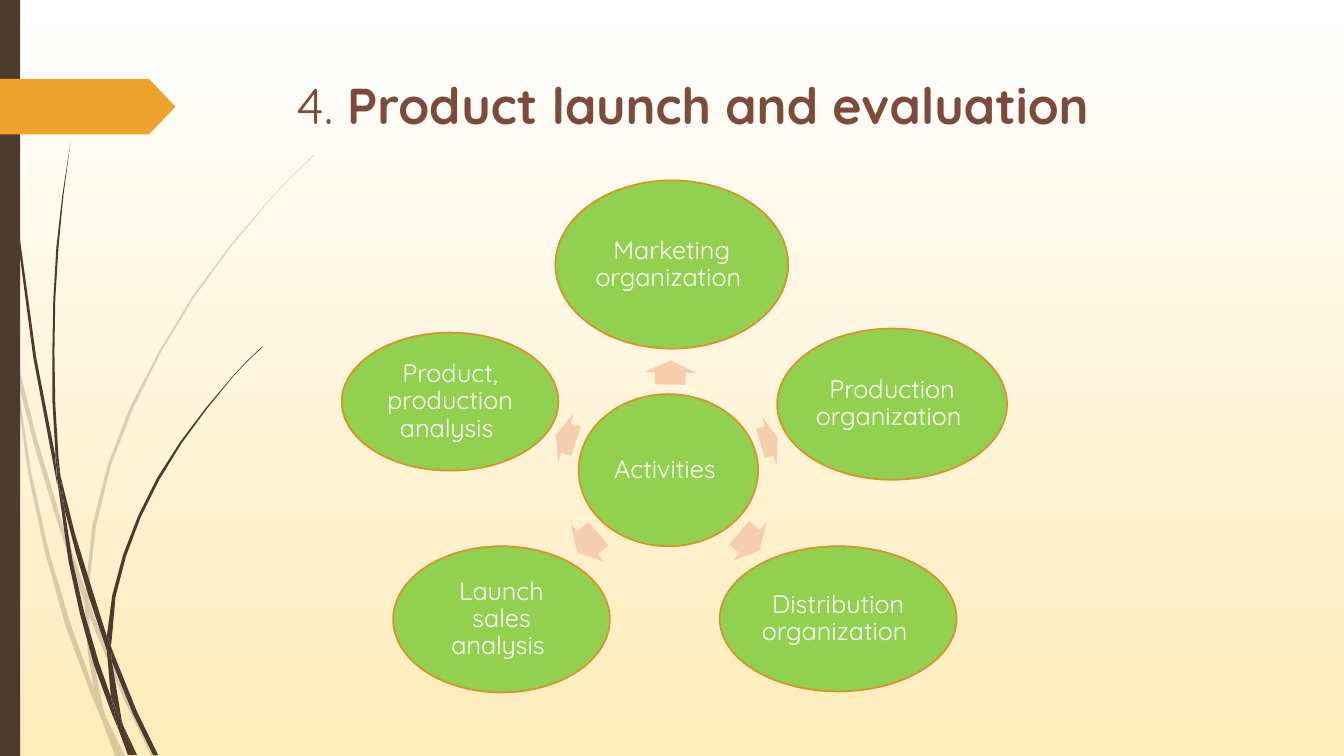
from dataclasses import dataclass

from lxml.etree import SubElement
from pptx import Presentation
from pptx.dml.color import RGBColor
from pptx.enum.shapes import MSO_SHAPE
from pptx.enum.text import MSO_ANCHOR, PP_ALIGN
from pptx.oxml.ns import qn
from pptx.util import Pt


@dataclass(frozen=True)
class Theme:
    font: str = "Quicksand"
    title_size: int = 36
    label_size: int = 18
    bg_top: str = "FFFFFF"
    bg_bottom: str = "FEECBA"
    dark: str = "4E3B30"
    accent: str = "F0A22E"
    title: str = "7C4B3B"
    bubble: str = "92D050"
    outline: str = "DA932A"
    arrow: str = "F6CEAD"
    label: str = "FFFFFF"


THEME = Theme()

PALE_BLADES = [
    [(7.9, 252), (6.5, 231.8), (0, 203), (0, 215.3), (7.2, 247.7)],
    [(41.8, 375.8), (60.5, 431.3), (61.2, 421.9), (44.6, 374.4), (26, 312),
     (10.1, 248.4), (12.2, 270.7), (25.9, 323.3)],
    [(66.2, 437), (63.4, 429.1), (63.4, 439.2), (88.6, 499.7), (108, 540),
     (111.6, 540), (91.4, 498.2)],
    [(85.7, 540), (89.3, 540), (75.6, 511.9)],
    [(67, 491.8), (50.4, 445.7), (34.5, 392.2), (22.3, 337.7), (12.2, 270.7),
     (7.9, 252), (20.2, 338.4), (31.8, 393.1), (46.8, 447.1), (66.2, 499),
     (72.7, 514.1), (71.3, 509)],
    [(60.5, 431.3), (62.6, 465.1), (67, 491.8), (69.1, 498.2), (75.6, 511.9),
     (74.2, 508.3), (65.5, 465.1), (63.4, 439.2), (63.4, 437.8)],
    [(63.4, 420.5), (68.6, 375.8), (79.2, 332.6), (95.3, 291.2), (115.2, 251.3),
     (138.4, 212.8), (164.9, 176.4), (193, 142.6), (208.8, 126), (224.6, 110.9),
     (224.6, 110.2), (208.1, 126), (193, 141.8), (164.2, 175.7), (137.3, 212),
     (113.8, 250.6), (93.2, 290.2), (77, 331.9), (65.9, 375.8), (61.2, 420.5),
     (61.2, 421.9), (63.4, 429.1)],
    [(72.7, 514.1), (82.1, 540), (85.7, 540)],
    [(63.4, 437.8), (63.4, 439.2), (63.4, 429.1), (61.2, 421.9), (60.5, 431.3)],
    [(69.1, 498.2), (67, 491.8), (71.3, 509), (72.7, 514.1), (85.7, 540),
     (75.6, 511.9)],
]
DARK_BLADES = [
    [(5, 79.2), (12.2, 167.8), (23.8, 255.6), (40.3, 343.4), (41, 346.3),
     (39.6, 329), (39.6, 326.2), (25.9, 255.6), (13.7, 167), (5.8, 78.5),
     (3.6, 34.6), (2.9, 0), (2.2, 0), (2.9, 34.6)],
    [(63.4, 426.2), (76.3, 464.4), (76.3, 454.3), (67, 424.8), (54, 382.9),
     (43.2, 339.8), (46.1, 363.6), (54.2, 394.9)],
    [(81.4, 467.3), (79.2, 461.5), (79.9, 472.3), (95, 509.8), (109.4, 539.3),
     (113, 539.3), (97.9, 508.3)],
    [(79.2, 497.5), (70.6, 473), (60.1, 437), (51.8, 400.3), (46.1, 363.6),
     (41, 343.4), (49, 401), (57, 437.8), (67, 474.5), (79.9, 509.8),
     (84.2, 519.8), (83.5, 516.2)],
    [(43.2, 339.8), (41.8, 326.2), (39.5, 288.6), (38.9, 251.3), (39.5, 213.8),
     (41.8, 176.4), (45.4, 139), (50.4, 101.5), (44.6, 139), (40.3, 176.4),
     (38.1, 213.8), (37.4, 251.3), (37.5, 287.3), (39.6, 323.3)],
    [(95.8, 539.3), (97.9, 539.3), (87.8, 517.7)],
    [(41, 343.4), (46.1, 363.6), (43.2, 339.8), (39.6, 323.3), (39.6, 326.2)],
    [(79.9, 455.8), (82.5, 426.4), (90, 397.4), (100.5, 369.5), (113.8, 342.7),
     (129.6, 316.8), (147.6, 292.3), (166.3, 269.3), (176.4, 258.5), (187.9, 247.7),
     (187.2, 247.7), (176.4, 257.8), (166.3, 268.6), (146.9, 291.6), (128.7, 315.7),
     (112.3, 341.3), (98.7, 368.4), (87.8, 396.7), (80.2, 425.2), (76.3, 454.3),
     (79.2, 461.5)],
    [(84.2, 519.8), (91.4, 539.3), (94.3, 539.3)],
    [(76.3, 464.4), (79.2, 497.5), (83.5, 508.3), (87.8, 517.7), (87.1, 515.5),
     (79.9, 472.3), (78.5, 468.7)],
    [(76.3, 464.4), (78.5, 468.7), (79.9, 472.3), (79.2, 461.5), (76.3, 454.3)],
    [(83.5, 508.3), (79.2, 497.5), (83.5, 516.2), (84.2, 519.8), (93.6, 539.3),
     (95.8, 539.3), (87.8, 517.7)],
]
BUBBLES = [
    ("Activities ", 413.3, 281.5, 128.2, 108.7),
    ("Marketing organization ", 396.7, 128.9, 166.3, 120.2),
    ("Production organization ", 555.1, 234.7, 164.2, 108),
    ("Distribution organization ", 514.1, 390.2, 169.2, 103.7),
    ("Launch sales analysis ", 280.8, 390.2, 154.8, 104.4),
    ("Product, production analysis ", 244.1, 237.6, 154.8, 98.6),
]
ARROWS = [
    (470.2, 247.7, 17.3, 270.9),
    (542.9, 296.6, 13, 343.5),
    (525.6, 368.6, 19.4, 41.2),
    (409.7, 369.4, 20.2, 138.5),
    (396.7, 294.5, 15.1, 197.5),
]
ARROW_SPREAD = 36.7


def assign(obj, values):
    for name, value in values.items():
        setattr(obj, name, value)


def paint(s, color, outline=None, alpha=None):
    s.shadow.inherit = False
    s.fill.solid()
    s.fill.fore_color.rgb = RGBColor.from_string(color)
    if alpha:
        rgb = s.element.find(".//" + qn("a:srgbClr"))
        SubElement(rgb, qn("a:alpha")).set("val", str(alpha * 1000))
    if outline:
        s.line.color.rgb = RGBColor.from_string(outline)
        s.line.width = Pt(1.25)
    else:
        s.line.fill.background()


def add_preset(slide, kind, x, y, w, h, color, outline=None):
    s = slide.shapes.add_shape(kind, Pt(x), Pt(y), Pt(w), Pt(h))
    paint(s, color, outline)
    return s


def add_run(p, text, size, color, bold=False):
    r = p.add_run()
    r.text = text
    assign(r.font, {"name": THEME.font, "size": Pt(size), "bold": bold})
    r.font.color.rgb = RGBColor.from_string(color)


def add_blade(slide, points, alpha=None):
    start, *rest = [(Pt(x), Pt(y)) for x, y in points]
    builder = slide.shapes.build_freeform(*start)
    builder.add_line_segments(rest, close=True)
    paint(builder.convert_to_shape(), THEME.dark, alpha=alpha)


def add_bubble(slide, text, x, y, w, h):
    s = add_preset(slide, MSO_SHAPE.OVAL, x, y, w, h, THEME.bubble, THEME.outline)
    tf = s.text_frame
    assign(tf, {"word_wrap": True, "vertical_anchor": MSO_ANCHOR.MIDDLE,
                "margin_left": Pt(2.2), "margin_right": Pt(2.2),
                "margin_top": Pt(2.2), "margin_bottom": Pt(2.2)})
    p = tf.paragraphs[0]
    assign(p, {"alignment": PP_ALIGN.CENTER, "line_spacing": 0.9})
    add_run(p, text, THEME.label_size, THEME.label)


def add_arrow(slide, x, y, length, angle):
    s = add_preset(slide, MSO_SHAPE.RIGHT_ARROW, x, y, length, ARROW_SPREAD, THEME.arrow)
    s.rotation = angle
    s.adjustments[0] = 0.6
    s.adjustments[1] = 0.5


def add_title(slide):
    tb = slide.shapes.add_textbox(Pt(204.5), Pt(49.3), Pt(702), Pt(100.8))
    tb.text_frame.word_wrap = True
    p = tb.text_frame.paragraphs[0]
    add_run(p, "4. ", THEME.title_size, THEME.title)
    add_run(p, "Product launch and evaluation", THEME.title_size, THEME.title, True)


def set_background(slide):
    fill = slide.background.fill
    fill.gradient()
    fill.gradient_angle = 270
    for stop, color in zip(fill.gradient_stops, (THEME.bg_top, THEME.bg_bottom)):
        stop.color.rgb = RGBColor.from_string(color)


def main():
    prs = Presentation()
    assign(prs, {"slide_width": Pt(960), "slide_height": Pt(540)})
    slide = prs.slides.add_slide(prs.slide_layouts[6])
    set_background(slide)
    for points in PALE_BLADES:
        add_blade(slide, points, alpha=20)
    for points in DARK_BLADES:
        add_blade(slide, points)
    add_preset(slide, MSO_SHAPE.RECTANGLE, 0, 0, 14.4, 540, THEME.dark)
    tag = add_preset(slide, MSO_SHAPE.PENTAGON, 0, 56.4, 125.4, 39.6, THEME.accent)
    tag.adjustments[0] = 0.48
    add_title(slide)
    for arrow in ARROWS:
        add_arrow(slide, *arrow)
    for bubble in BUBBLES:
        add_bubble(slide, *bubble)
    prs.save("out.pptx")


if __name__ == "__main__":
    main()
